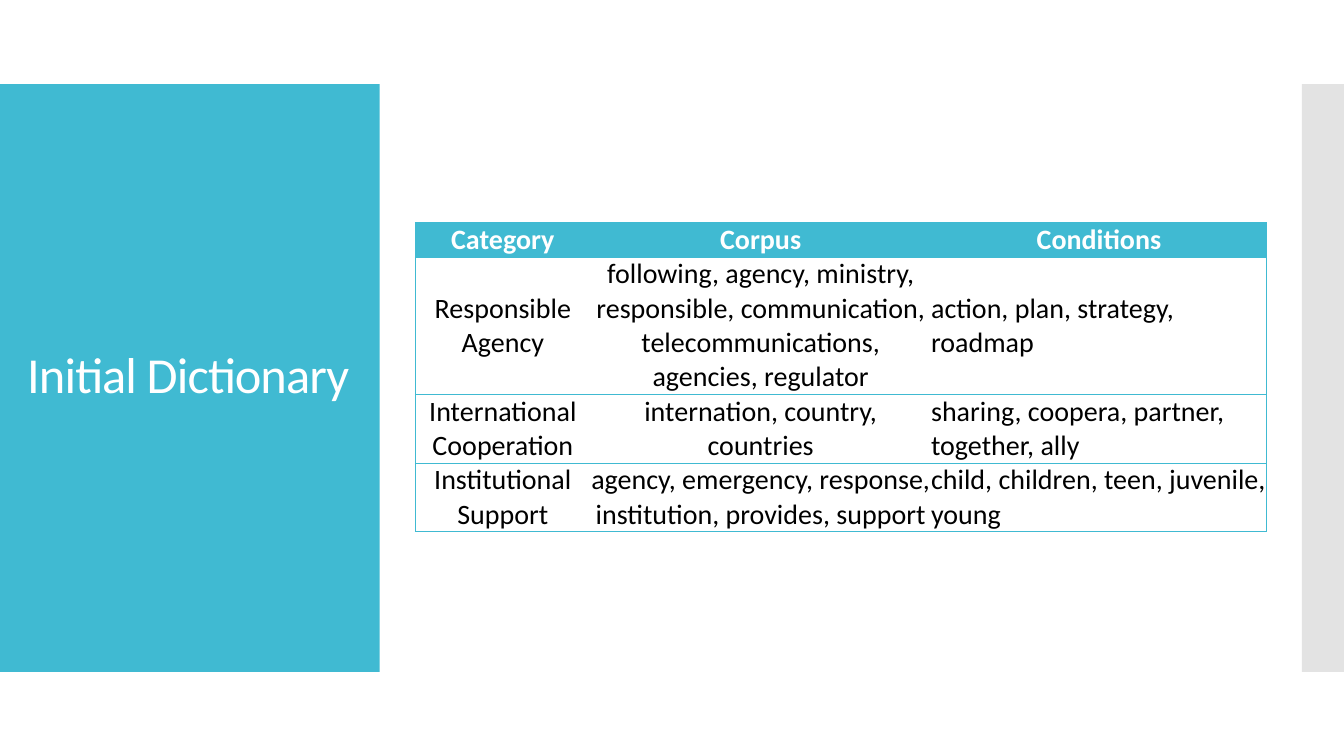
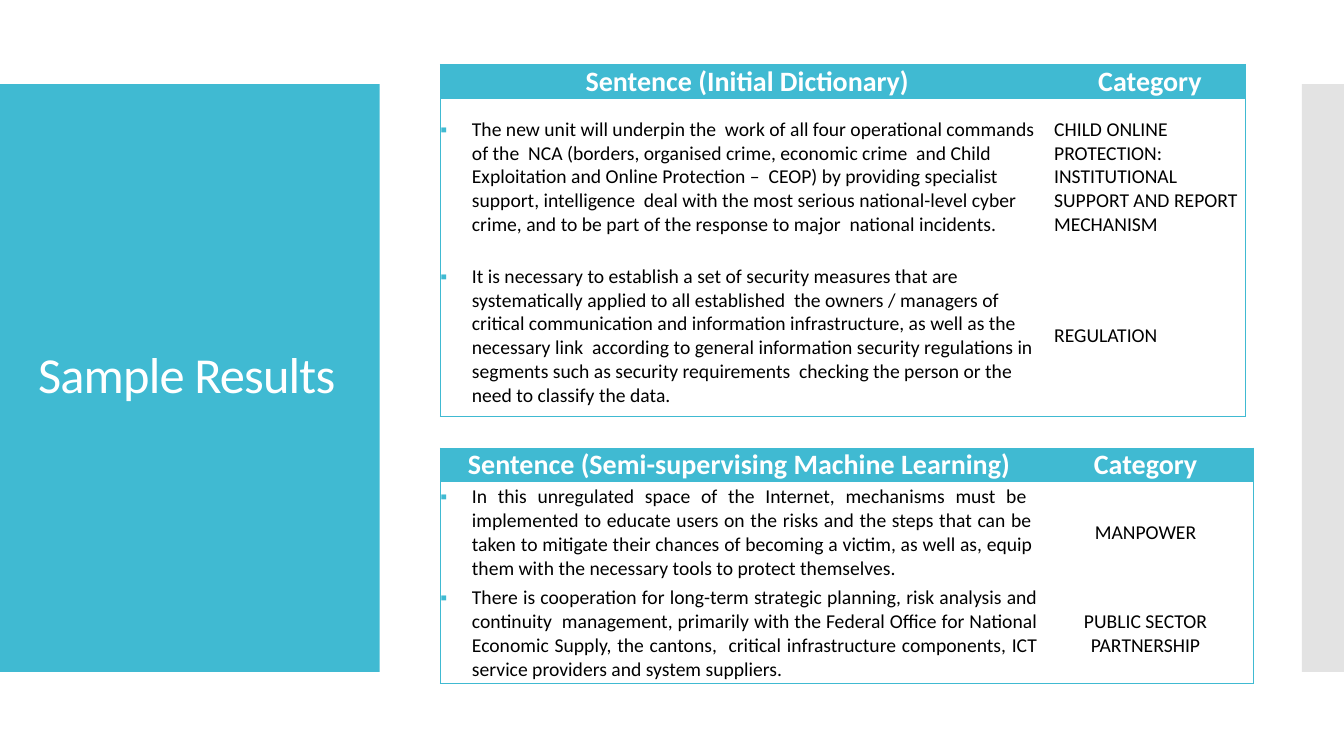
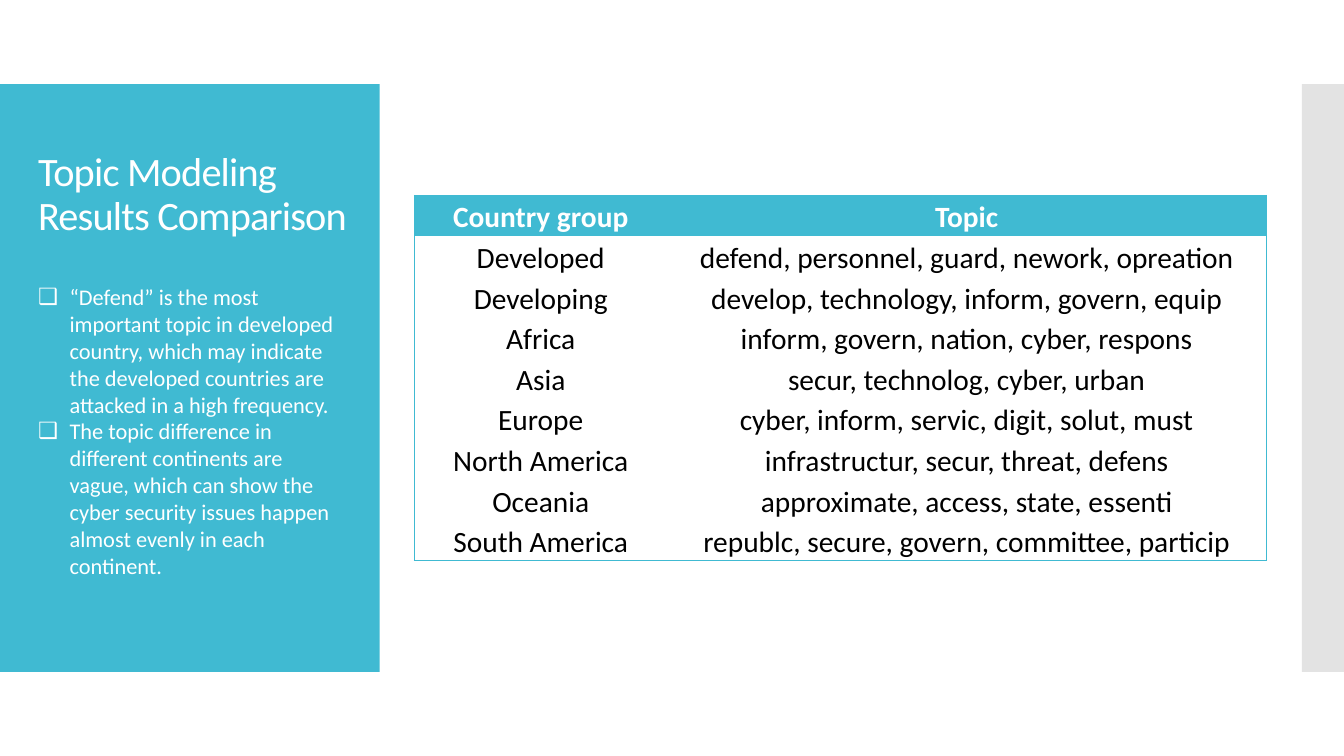
from lxml.etree import SubElement
from pptx import Presentation
from pptx.dml.color import RGBColor
from pptx.enum.shapes import MSO_SHAPE
from pptx.enum.text import MSO_ANCHOR as ANCHOR, MSO_AUTO_SIZE as AUTOSIZE, PP_ALIGN as ALIGN
from pptx.oxml.ns import qn
from pptx.util import Pt

# Shared style
CYAN = RGBColor(0x40, 0xBA, 0xD2)
GREY = RGBColor(0xC8, 0xC8, 0xC8)
WHITE = RGBColor(0xFF, 0xFF, 0xFF)
BLACK = RGBColor(0, 0, 0)
FONT = "Calibri"
WIDTH, HEIGHT = 960, 540
BAND_TOP, BAND_H = 60, 420
PANEL_W, STRIP_W = 271.2, 30
INDENT = 22.5
PLAIN_STYLE = "{2D5ABB26-0587-4C30-8999-92F81FD0307C}"
TITLE_ONLY, TITLE_AND_BODY = 5, 1


def place(sp, left, top, width, height):
    sp.left, sp.top, sp.width, sp.height = map(Pt, (left, top, width, height))


def put_text(tf, text, size, color=BLACK, bold=False, align=ALIGN.LEFT,
             spacing=1.0, tracking=0, bullet=None, bullet_color=None):
    """Fill a text frame, one paragraph for each line of text."""
    for i, line in enumerate(text.split("\n")):
        p = tf.add_paragraph() if i else tf.paragraphs[0]
        p.alignment, p.line_spacing = align, spacing
        p.space_before = p.space_after = Pt(0)
        r = p.add_run()
        r.text = line
        r.font.name, r.font.size, r.font.bold = FONT, Pt(size), bold
        r.font.color.rgb = color
        if tracking:
            r.font._element.set("spc", str(int(tracking * 100)))
        if bullet:
            set_bullet(p, bullet, bullet_color or color)


def set_bullet(p, char, color):
    pPr = p._p.get_or_add_pPr()
    pPr.set("marL", str(Pt(INDENT)))
    pPr.set("indent", str(-Pt(INDENT)))
    SubElement(SubElement(pPr, qn("a:buClr")), qn("a:srgbClr"), val=str(color))
    SubElement(pPr, qn("a:buFont"), typeface="Arial")
    SubElement(pPr, qn("a:buChar"), char=char)


def add_bands(prs, slide):
    """Draw the side panel and the edge strip, then move them to the master."""
    bands = [(0, PANEL_W, CYAN, 100), (WIDTH - STRIP_W, STRIP_W, GREY, 50)]
    for i, (left, width, color, opacity) in enumerate(bands):
        sp = slide.shapes.add_shape(MSO_SHAPE.RECTANGLE, Pt(left), Pt(BAND_TOP),
                                    Pt(width), Pt(BAND_H))
        sp.shadow.inherit = False
        sp.line.fill.background()
        sp.fill.solid()
        sp.fill.fore_color.rgb = color
        if opacity < 100:
            clr = sp.element.spPr.find(qn("a:solidFill")).find(qn("a:srgbClr"))
            SubElement(clr, qn("a:alpha"), val=str(opacity * 1000))
        sp.element.nvSpPr.cNvPr.set("id", str(20 + i))
        prs.slide_master.shapes.element.insert(2 + i, sp.element)


def add_title(slide, text, box, size=36):
    sp = slide.shapes.title
    place(sp, *box)
    tf = sp.text_frame
    tf.word_wrap, tf.auto_size = True, AUTOSIZE.NONE
    tf.vertical_anchor = ANCHOR.MIDDLE
    put_text(tf, text, size, WHITE, spacing=0.9, tracking=-0.6)


def add_notes_list(slide, text, box):
    sp = slide.placeholders[1]
    place(sp, *box)
    tf = sp.text_frame
    tf.word_wrap, tf.auto_size = True, AUTOSIZE.NONE
    put_text(tf, text, 16, WHITE, bullet="❑")


def add_borders(cell, sides):
    """Draw thin lines on the given sides, in the order L, R, T, B."""
    tcPr = cell._tc.get_or_add_tcPr()
    for side in sides:
        ln = SubElement(tcPr, qn("a:ln" + side), w=str(Pt(0.75)))
        SubElement(SubElement(ln, qn("a:solidFill")), qn("a:srgbClr"), val=str(CYAN))


def add_grid(slide, left, top, widths, heights, rows, formats, head_size=20,
             anchor=ANCHOR.MIDDLE, inset=0, rules=False):
    """Add a framed table; formats holds the body text format of each column."""
    n_rows, n_cols = len(rows), len(widths)
    frame = slide.shapes.add_table(n_rows, n_cols, Pt(left), Pt(top),
                                   Pt(sum(widths)), Pt(sum(heights)))
    table = frame.table
    table.first_row = table.horz_banding = False
    for style in frame.element.iter(qn("a:tableStyleId")):
        style.text = PLAIN_STYLE
    for col, width in zip(table.columns, widths):
        col.width = Pt(width)
    for i, (row, height) in enumerate(zip(rows, heights)):
        table.rows[i].height = Pt(height)
        for j, text in enumerate(row):
            cell = table.cell(i, j)
            edges = {"L": j == 0, "R": j == n_cols - 1, "T": i == 0 or rules,
                     "B": i == n_rows - 1 or rules}
            add_borders(cell, [side for side, shown in edges.items() if shown])
            cell.vertical_anchor = anchor
            cell.margin_left = cell.margin_right = cell.margin_top = Pt(inset)
            cell.margin_bottom = 0
            if i == 0:
                cell.fill.solid()
                cell.fill.fore_color.rgb = CYAN
                put_text(cell.text_frame, text, head_size, WHITE, True, ALIGN.CENTER)
            else:
                cell.fill.background()
                put_text(cell.text_frame, text, **formats[j])


# Slides
def dictionary_slide(slide):
    add_title(slide, "Initial Dictionary", (12.2, 88.5, 249, 362))
    centred = dict(size=20, align=ALIGN.CENTER)
    rows = [
        ("Category", "Corpus", "Conditions"),
        ("Responsible Agency",
         "following, agency, ministry, responsible, communication, "
         "telecommunications, agencies, regulator",
         "action, plan, strategy,\nroadmap"),
        ("International Cooperation", "internation, country, countries",
         "sharing, coopera, partner, together, ally"),
        ("Institutional Support",
         "agency, emergency, response, institution, provides, support",
         "child, children, teen, juvenile, young"),
    ]
    add_grid(slide, 296.7, 159.2, (125, 243.4, 239.9), (24.5, 97.7, 49, 49), rows,
             (centred, centred, dict(size=20)), rules=True)


def results_slide(slide):
    add_title(slide, "Sample Results", (20, 88.5, 240.5, 362))
    sentence = dict(size=14, bullet="▪", bullet_color=CYAN)
    rows = [
        ("Sentence (Initial Dictionary)", "Category"),
        ("The new unit will underpin the  work of all four operational commands of "
         "the  NCA (borders, organised crime, economic crime  and Child Exploitation "
         "and Online Protection –  CEOP) by providing specialist support, "
         "intelligence  deal with the most serious national-level cyber  crime, and "
         "to be part of the response to major  national incidents.",
         "CHILD ONLINE PROTECTION: INSTITUTIONAL SUPPORT AND REPORT MECHANISM"),
        ("It is necessary to establish a set of security measures that are "
         "systematically applied to all established  the owners / managers of "
         "critical communication and information infrastructure, as well as the "
         "necessary link  according to general information security regulations in "
         "segments such as security requirements  checking the person or the need "
         "to classify the data.",
         "REGULATION"),
    ]
    add_grid(slide, 314.6, 46, (438.4, 136.8), (24.5, 112, 115.2), rows,
             (sentence, dict(size=14)))
    rows = [
        ("Sentence (Semi-supervising Machine Learning)", "Category"),
        ("In this unregulated space of the Internet, mechanisms must be  implemented "
         "to educate users on the risks and the steps that can be  taken to mitigate "
         "their chances of becoming a victim, as well as, equip  them with the "
         "necessary tools to protect themselves.",
         "MANPOWER"),
        ("There is cooperation for long-term strategic planning, risk analysis and "
         "continuity  management, primarily with the Federal Office for National "
         "Economic Supply, the cantons,  critical infrastructure components, ICT "
         "service providers and system suppliers.",
         "PUBLIC SECTOR PARTNERSHIP"),
    ]
    add_grid(slide, 314.6, 320, (426.7, 154), (24.5, 72, 72), rows,
             (dict(sentence, align=ALIGN.JUSTIFY), dict(size=14, align=ALIGN.CENTER)))


def topics_slide(slide):
    add_title(slide, "Topic Modeling Results Comparison", (20, 88.5, 248.4, 102.2), 28.8)
    add_notes_list(
        slide,
        "“Defend” is the most important topic in developed country, which may "
        "indicate the developed countries are attacked in a high frequency.\n"
        "The topic difference in different continents are vague, which can show the "
        "cyber security issues happen almost evenly in each continent.",
        (20, 198.7, 225.4, 239.8))
    rows = [
        ("Country group", "Topic"),
        ("Developed", "defend, personnel, guard, nework, opreation"),
        ("Developing", "develop, technology, inform, govern, equip"),
        ("Africa", "inform, govern, nation, cyber, respons"),
        ("Asia", "secur, technolog, cyber, urban"),
        ("Europe", "cyber, inform, servic, digit, solut, must"),
        ("North America", "infrastructur, secur, threat, defens"),
        ("Oceania", "approximate, access, state, essenti"),
        ("South America", "republc, secure, govern, committee, particip"),
    ]
    centred = dict(size=21, align=ALIGN.CENTER)
    add_grid(slide, 296, 139.5, (180.5, 428), [29] * len(rows), rows,
             (centred, centred), 21, ANCHOR.BOTTOM, 0.7)


def main():
    prs = Presentation()
    prs.slide_width, prs.slide_height = Pt(WIDTH), Pt(HEIGHT)
    pages = [(dictionary_slide, TITLE_ONLY), (results_slide, TITLE_ONLY),
             (topics_slide, TITLE_AND_BODY)]
    for i, (build, layout) in enumerate(pages):
        slide = prs.slides.add_slide(prs.slide_layouts[layout])
        if i == 0:
            add_bands(prs, slide)
        build(slide)
    prs.save("out.pptx")


if __name__ == "__main__":
    main()
